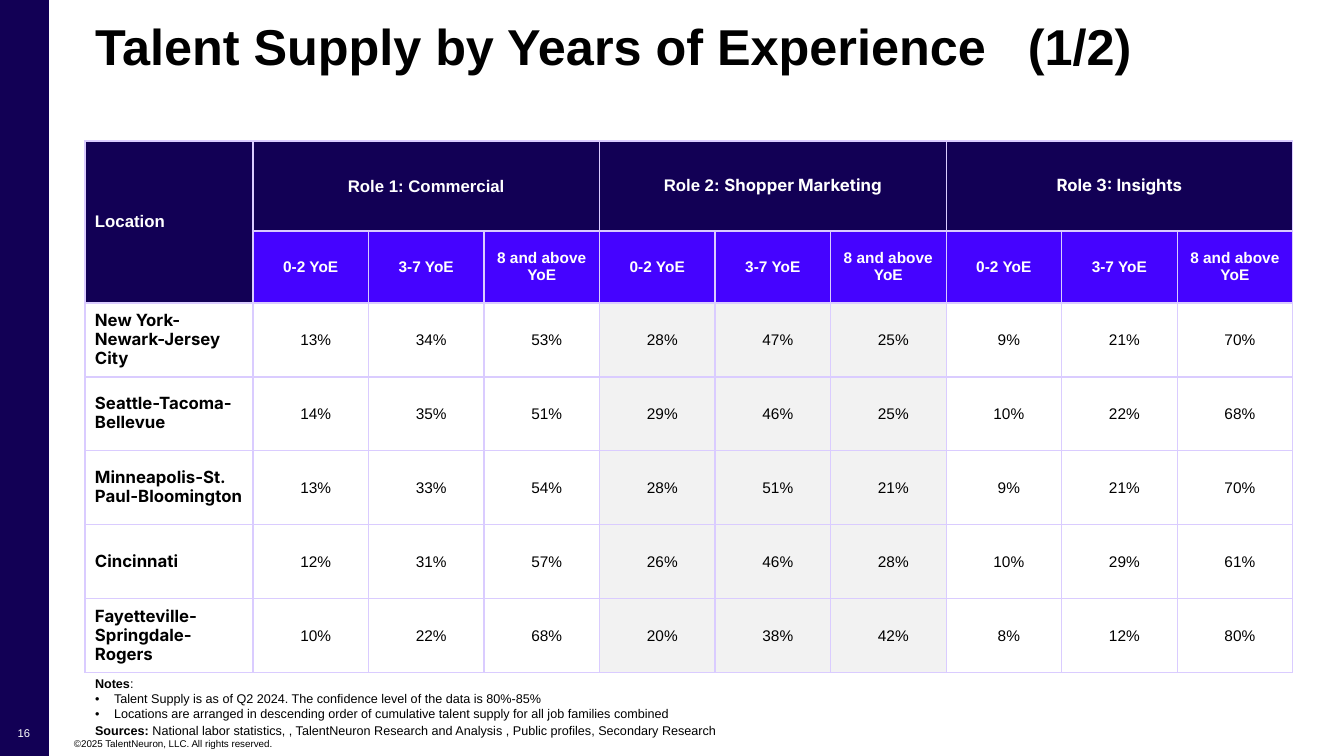
"""Build the slide on talent supply by years of experience."""
from dataclasses import dataclass

from lxml.etree import SubElement
from pptx import Presentation
from pptx.dml.color import RGBColor as Rgb
from pptx.enum.shapes import MSO_SHAPE as Shape
from pptx.enum.text import MSO_ANCHOR as Anchor, MSO_AUTO_SIZE as AutoSize, PP_ALIGN as Align
from pptx.oxml.ns import qn
from pptx.util import Pt


@dataclass(frozen=True)
class Theme:
    navy: str = "120055"
    violet: str = "4503FF"
    lilac: str = "DACCFF"
    grey: str = "F2F2F2"
    white: str = "FFFFFF"
    black: str = "000000"
    sans: str = "Arial"
    accent: str = "Inter"
    title: int = 36
    heading: int = 12
    value: int = 11
    note: int = 9
    number: int = 8
    legal: int = 7


THEME = Theme()
SLIDE_SIZE = (1344, 756)
LOCATION_WIDTH, VALUES_WIDTH = 168, 1040
ROW_HEIGHTS = [90, 72] + [74] * 5
ROLES = [
    [("Role 1: Commercial", THEME.sans, True)],
    [("Role 2: ", THEME.sans, True), ("Shopper Marketing", THEME.accent, True)],
    [("Role 3: Insights", THEME.accent, True)],
]
BANDS = ["0-2 YoE", "3-7 YoE", "8 and above YoE"]
SUPPLY = {
    "New York-Newark-Jersey City": [13, 34, 53, 28, 47, 25, 9, 21, 70],
    "Seattle-Tacoma-Bellevue": [14, 35, 51, 29, 46, 25, 10, 22, 68],
    "Minneapolis-St. Paul-Bloomington": [13, 33, 54, 28, 51, 21, 9, 21, 70],
    "Cincinnati": [12, 31, 57, 26, 46, 28, 10, 29, 61],
    "Fayetteville-Springdale-Rogers": [10, 22, 68, 20, 38, 42, 8, 12, 80],
}
NOTES = [
    [("Notes", THEME.sans, True), (":", THEME.sans, False)],
    [("Talent Supply is as of Q2 2024. The confidence level of the data is 80%-85%",
      THEME.sans, False)],
    [("Locations are arranged in descending order of cumulative talent supply "
      "for all job families combined", THEME.sans, False)],
    [("Sources: ", THEME.sans, True),
     ("National labor statistics, , TalentNeuron Research and Analysis , "
      "Public profiles, Secondary Research", THEME.sans, False)],
]


def px(length):
    return round(length * 12192000 / 1344)


class SlideBuilder:
    """Draw styled elements on the current slide."""

    def __init__(self, page, theme):
        self.page = page
        self.theme = theme

    def add_spans(self, para, spans, size, color, align=Align.LEFT):
        para.alignment = align
        for text, font, bold in spans:
            span = para.add_run()
            span.text = text
            span.font.name = font
            span.font.size = Pt(size)
            span.font.bold = bold
            span.font.color.rgb = Rgb.from_string(color)

    def frame(self, box, insets, anchor=Anchor.MIDDLE):
        frame = box.text_frame
        frame.word_wrap = True
        frame.auto_size = AutoSize.NONE
        frame.vertical_anchor = anchor
        (frame.margin_left, frame.margin_top,
         frame.margin_right, frame.margin_bottom) = map(px, insets)
        return frame

    def panel(self, area, color):
        panel = self.page.shapes.add_shape(Shape.RECTANGLE, *map(px, area))
        panel.shadow.inherit = False
        panel.fill.solid()
        panel.fill.fore_color.rgb = Rgb.from_string(color)
        panel.line.fill.background()

    def title(self, area, text, tab):
        box = self.page.shapes.title
        box.left, box.top, box.width, box.height = map(px, area)
        para = self.frame(box, (10, 5, 10, 61)).paragraphs[0]
        para.line_spacing = 0.9
        stops = SubElement(para._p.get_or_add_pPr(), qn("a:tabLst"))
        SubElement(stops, qn("a:tab"), pos=str(px(tab)), algn="l")
        self.add_spans(para, [(text, self.theme.sans, True)], self.theme.title, self.theme.black)

    def label(self, area, text, size, color, align, anchor, insets):
        box = self.page.shapes.add_textbox(*map(px, area))
        para = self.frame(box, insets, anchor).paragraphs[0]
        self.add_spans(para, [(text, self.theme.sans, False)], size, color, align)

    def notes(self, area, lines):
        box = self.page.shapes.add_textbox(*map(px, area))
        frame = self.frame(box, (10, 5, 10, 20))
        for index, spans in enumerate(lines):
            para = frame.paragraphs[0] if index == 0 else frame.add_paragraph()
            if index in (1, 2):
                props = para._p.get_or_add_pPr()
                props.set("marL", str(px(19)))
                props.set("indent", str(-px(19)))
                SubElement(props, qn("a:buFont"), typeface=self.theme.sans)
                SubElement(props, qn("a:buChar"), char="•")
            if index >= 2:
                para.space_after = Pt(1)
            self.add_spans(para, spans, self.theme.note, self.theme.black)

    def style_cell(self, cell, fill):
        props = cell._tc.get_or_add_tcPr()
        for side in ("lnL", "lnR", "lnT", "lnB"):
            line = SubElement(props, qn(f"a:{side}"), w=str(Pt(1)))
            paint = SubElement(line, qn("a:solidFill"))
            SubElement(paint, qn("a:srgbClr"), val=self.theme.lilac)
        cell.fill.solid()
        cell.fill.fore_color.rgb = Rgb.from_string(fill)
        cell.vertical_anchor = Anchor.MIDDLE

    def fill_cell(self, cell, spans, size, color, align=Align.CENTER, insets=(1, 1, 1, 0), indent=0):
        (cell.margin_left, cell.margin_top,
         cell.margin_right, cell.margin_bottom) = map(px, insets)
        para = cell.text_frame.paragraphs[0]
        if spans[-1][1] == self.theme.accent:
            para.line_spacing = Pt(13.5)
        if indent:
            para._p.get_or_add_pPr().set("marL", str(px(indent)))
        self.add_spans(para, spans, size, color, align)

    def table(self, left, top):
        theme = self.theme
        count = len(ROLES) * len(BANDS)
        area = (left, top, LOCATION_WIDTH + VALUES_WIDTH, sum(ROW_HEIGHTS))
        table = self.page.shapes.add_table(len(ROW_HEIGHTS), count + 1, *map(px, area)).table
        table.first_row = table.horz_banding = False
        for index, column in enumerate(table.columns):
            column.width = px(VALUES_WIDTH / count) if index else px(LOCATION_WIDTH)
        for row_index, (row, height) in enumerate(zip(table.rows, ROW_HEIGHTS)):
            row.height = px(height)
            for index, cell in enumerate(row.cells):
                if row_index < 2:
                    fill = theme.violet if row_index and index else theme.navy
                else:
                    fill = theme.grey if 4 <= index <= 6 else theme.white
                self.style_cell(cell, fill)

        table.cell(0, 0).merge(table.cell(1, 0))
        self.fill_cell(table.cell(0, 0), [("Location", theme.sans, True)], theme.heading,
                       theme.white, Align.LEFT, (10, 10, 10, 10))
        for index, spans in enumerate(ROLES):
            first = 1 + index * len(BANDS)
            table.cell(0, first).merge(table.cell(0, first + len(BANDS) - 1))
            self.fill_cell(table.cell(0, first), spans, theme.heading, theme.white)
            for offset, band in enumerate(BANDS):
                self.fill_cell(table.cell(1, first + offset), [(band, theme.sans, True)],
                               theme.value, theme.white, insets=(0, 0, 0, 0))
        for row_index, (location, shares) in enumerate(SUPPLY.items(), 2):
            self.fill_cell(table.cell(row_index, 0), [(location, theme.accent, True)],
                           theme.heading, theme.black, Align.LEFT, (10, 5, 10, 5))
            for index, share in enumerate(shares, 1):
                self.fill_cell(table.cell(row_index, index), [(f"{share}%", theme.sans, False)],
                               theme.value, theme.black, indent=10)


def main():
    deck = Presentation()
    deck.slide_width, deck.slide_height = map(px, SLIDE_SIZE)
    builder = SlideBuilder(deck.slides.add_slide(deck.slide_layouts[5]), THEME)
    builder.panel((0, 0, 49, 756), THEME.navy)
    builder.label((72, 738, 805, 12), "©2025 TalentNeuron, LLC. All rights reserved.",
                  THEME.legal, THEME.black, Align.LEFT, Anchor.BOTTOM, (2, 0, 0, 0))
    builder.title((85, 41, 1237, 72), "Talent Supply by Years of Experience\t(1/2)", 933)
    builder.label((5, 717, 38, 33), "16", THEME.number, THEME.white,
                  Align.CENTER, Anchor.MIDDLE, (10, 5, 10, 5))
    builder.table(85, 141)
    builder.notes((85, 692, 1219, 45), NOTES)
    deck.save("out.pptx")


if __name__ == "__main__":
    main()
